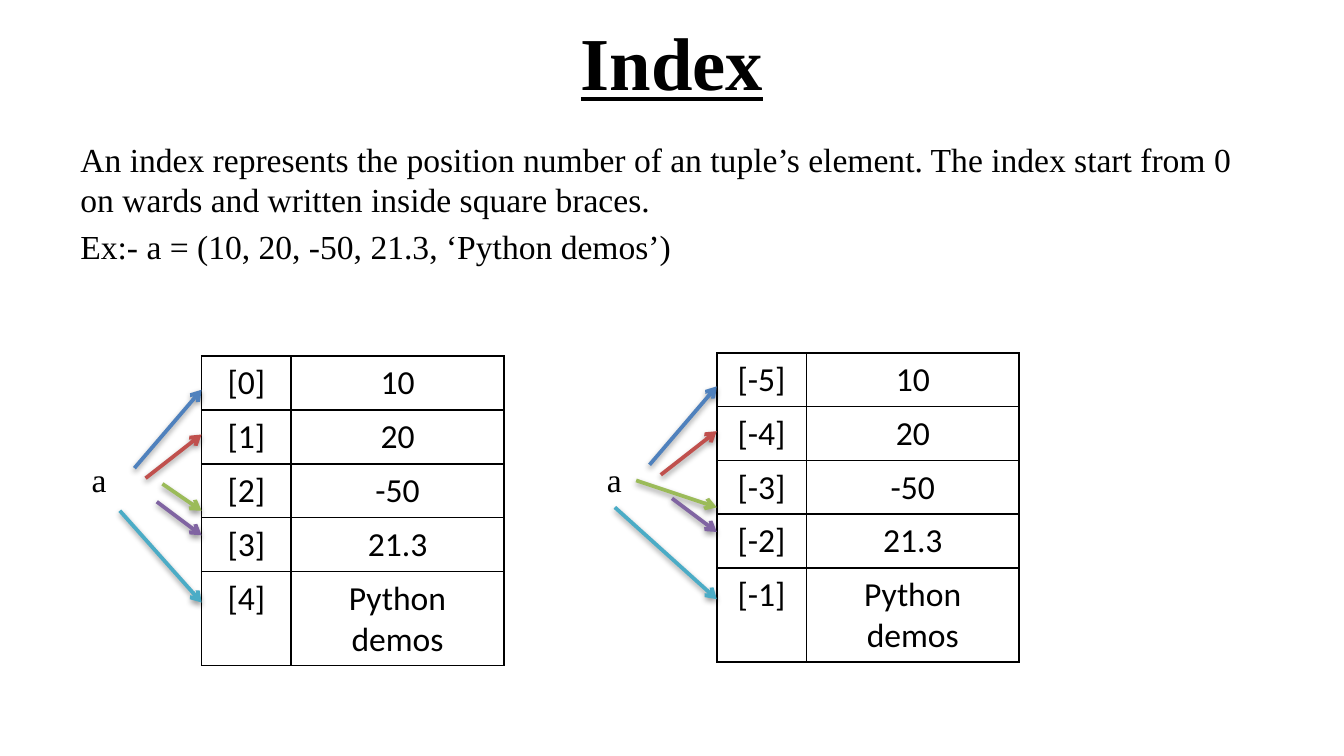
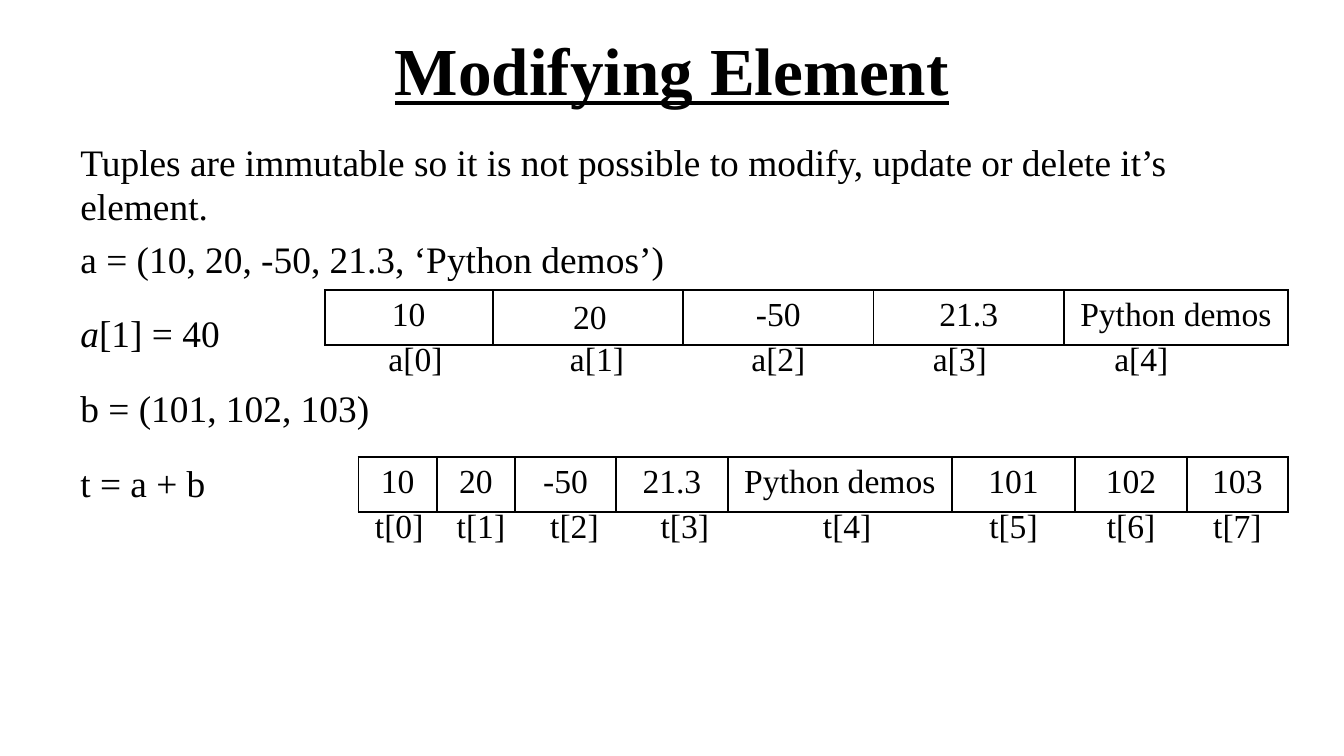
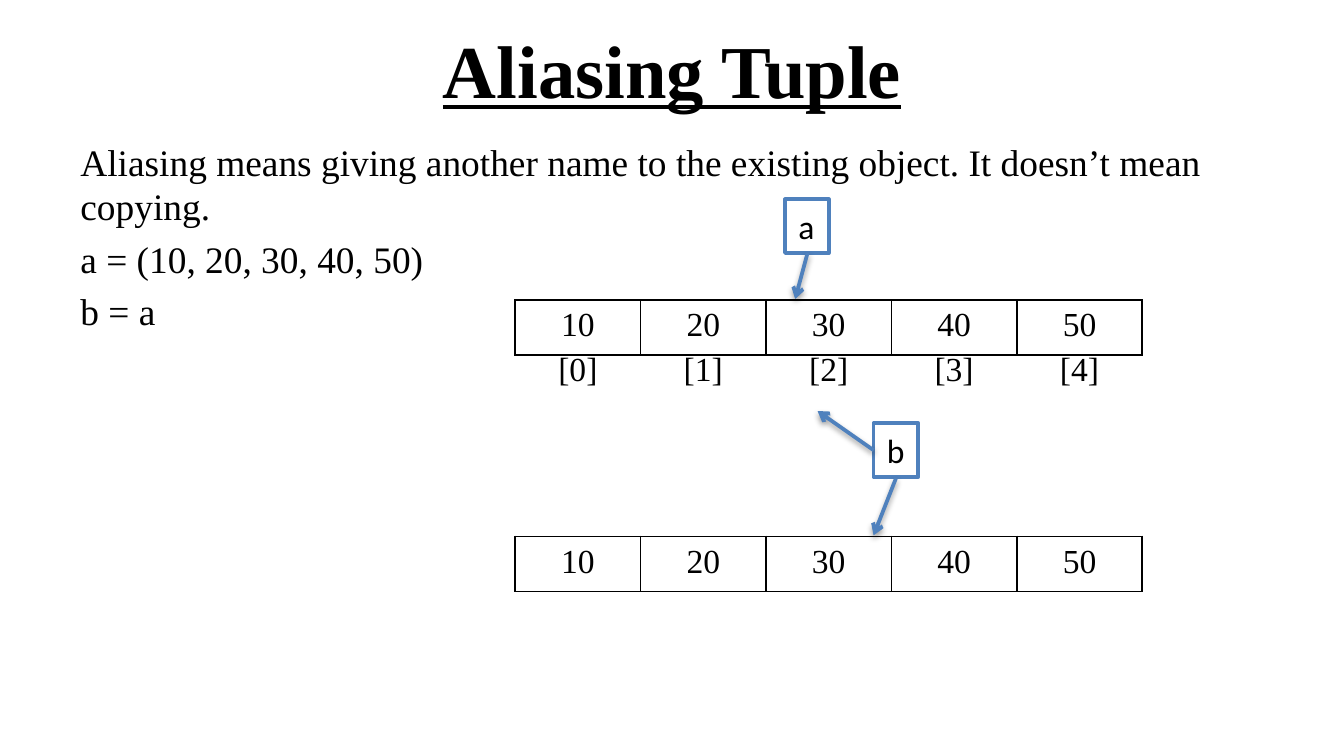
from dataclasses import dataclass

import pptx
import pptx.dml.color
import pptx.enum.shapes
import pptx.enum.text
import pptx.oxml
import pptx.oxml.ns
import pptx.oxml.xmlchemy
import pptx.presentation
import pptx.shapes.autoshape
import pptx.slide
import pptx.table
import pptx.text.text
import pptx.util
from lxml import etree

RGB = pptx.dml.color.RGBColor
BLACK = RGB(0x00, 0x00, 0x00)
WHITE = RGB(0xFF, 0xFF, 0xFF)
BLUE = RGB(0x4F, 0x81, 0xBD)
RED = RGB(0xC0, 0x50, 0x4D)
GREEN = RGB(0x9B, 0xBB, 0x59)
PURPLE = RGB(0x80, 0x64, 0xA2)
TEAL = RGB(0x4B, 0xAC, 0xC6)

SERIF = "Times New Roman"
SANS = "Calibri"
ALIGN = pptx.enum.text.PP_ALIGN

# The slide is a grid of square cells, twelve to the inch.
GRID_COLUMNS, GRID_ROWS = 120, 67.5
MARGIN = 6
CONTENT_WIDTH = GRID_COLUMNS - 2 * MARGIN
BODY_TOP = 11.8
TITLE_HEIGHT = 11.3
ROW_HEIGHT = 4.9
LABEL_DROP = 4  # from the top of a value row to the top of its index row
LINE_WIDTH = pptx.util.Pt(2)


@dataclass(frozen=True)
class Span:
    text: str
    italic: bool = False


@dataclass(frozen=True)
class Paragraph:
    spans: tuple[Span, ...]
    line_spacing: float | None = None


@dataclass(frozen=True)
class Area:
    left: float
    top: float
    width: float
    height: float


@dataclass(frozen=True)
class Grid:
    left: float
    top: float
    columns: tuple[float, ...]
    rows: tuple[tuple[str, ...], ...]
    font: str = SERIF
    row_height: float = ROW_HEIGHT
    ruled: bool = True


@dataclass(frozen=True)
class Arrow:
    start: tuple[float, float]
    end: tuple[float, float]
    color: RGB = BLUE


@dataclass(frozen=True)
class IndexDiagram:
    left: float
    top: float
    first_index: int
    green_reach: float
    teal_reach: float


def cells(count: float) -> pptx.util.Emu:
    return pptx.util.Emu(round(count * pptx.util.Inches(1) / 12))


def frame(area: Area) -> tuple[pptx.util.Emu, ...]:
    return tuple(cells(n) for n in (area.left, area.top, area.width, area.height))


def line(text: str, line_spacing: float | None = None) -> Paragraph:
    return Paragraph((Span(text),), line_spacing)


def add_span(para: pptx.text.text._Paragraph, text: str, size: float,
             font: str = SERIF) -> pptx.text.text.Font:
    span = para.add_run()
    span.text = text
    span.font.size = pptx.util.Pt(size)
    span.font.name = font
    span.font.color.rgb = BLACK
    return span.font


def add_title(page: pptx.slide.Slide, text: str, size: float, top: float) -> None:
    box = page.shapes.add_textbox(*frame(Area(MARGIN, top, CONTENT_WIDTH, TITLE_HEIGHT)))
    box.text_frame.word_wrap = True
    box.text_frame.vertical_anchor = pptx.enum.text.MSO_ANCHOR.MIDDLE
    para = box.text_frame.paragraphs[0]
    para.alignment = ALIGN.CENTER
    font = add_span(para, text, size)
    font.bold = True
    font.underline = True


def add_body(page: pptx.slide.Slide, paragraphs: tuple[Paragraph, ...], size: float,
             height: float, width: float = CONTENT_WIDTH) -> None:
    box = page.shapes.add_textbox(*frame(Area(MARGIN, BODY_TOP, width, height)))
    box.text_frame.word_wrap = True
    for number, paragraph in enumerate(paragraphs):
        para = box.text_frame.paragraphs[0] if number == 0 else box.text_frame.add_paragraph()
        para.space_before = pptx.util.Pt(size / 5)
        para.line_spacing = paragraph.line_spacing
        for span in paragraph.spans:
            add_span(para, span.text, size).italic = span.italic


def fit_to_text(shape: pptx.shapes.autoshape.Shape, text: str, font: str) -> None:
    """Write one unwrapped line into a shape that grows with it."""
    text_frame = shape.text_frame
    text_frame.word_wrap = False
    text_frame.auto_size = pptx.enum.text.MSO_AUTO_SIZE.SHAPE_TO_FIT_TEXT
    text_frame.vertical_anchor = pptx.enum.text.MSO_ANCHOR.TOP
    text_frame.paragraphs[0].alignment = ALIGN.LEFT
    add_span(text_frame.paragraphs[0], text, 18, font)


def add_label(page: pptx.slide.Slide, text: str, area: Area) -> None:
    fit_to_text(page.shapes.add_textbox(*frame(area)), text, SERIF)


def add_name_box(page: pptx.slide.Slide, text: str, area: Area) -> None:
    box = page.shapes.add_shape(pptx.enum.shapes.MSO_SHAPE.RECTANGLE, *frame(area))
    box.shadow.inherit = False
    box.fill.solid()
    box.fill.fore_color.rgb = WHITE
    box.line.color.rgb = BLUE
    box.line.width = LINE_WIDTH
    fit_to_text(box, text, SANS)


def child(parent: pptx.oxml.xmlchemy.BaseOxmlElement, tag: str,
          **attributes: str) -> pptx.oxml.xmlchemy.BaseOxmlElement:
    return etree.SubElement(parent, pptx.oxml.ns.qn(tag), attributes)


def set_borders(cell: pptx.table._Cell, ruled: bool) -> None:
    properties = cell._tc.get_or_add_tcPr()
    for side in ("L", "R", "T", "B"):
        border = child(properties, f"a:ln{side}", w=str(pptx.util.Pt(1)))
        if ruled:
            child(child(border, "a:solidFill"), "a:srgbClr", val=str(BLACK))
        else:
            child(border, "a:noFill")


def add_grid(page: pptx.slide.Slide, grid: Grid) -> None:
    area = Area(grid.left, grid.top, sum(grid.columns), grid.row_height * len(grid.rows))
    table = page.shapes.add_table(len(grid.rows), len(grid.columns), *frame(area)).table
    table.first_row = False
    table.horz_banding = False
    for column, width in zip(table.columns, grid.columns):
        column.width = cells(width)
    for row, texts in zip(table.rows, grid.rows):
        row.height = cells(grid.row_height)
        for cell, text in zip(row.cells, texts):
            set_borders(cell, grid.ruled)
            cell.fill.background()
            para = cell.text_frame.paragraphs[0]
            para.alignment = ALIGN.CENTER
            if text:
                add_span(para, text, 18, grid.font)
            else:
                para.font.size = pptx.util.Pt(18)


def add_arrow(page: pptx.slide.Slide, arrow: Arrow) -> None:
    connector = page.shapes.add_connector(
        pptx.enum.shapes.MSO_CONNECTOR.STRAIGHT,
        *(cells(n) for n in (*arrow.start, *arrow.end)))
    connector.line.color.rgb = arrow.color
    connector.line.width = LINE_WIDTH
    child(connector.line._get_or_add_ln(), "a:tailEnd", type="arrow")
    effects = child(connector._element.spPr, "a:effectLst")
    shadow = child(effects, "a:outerShdw", blurRad="40000", dist="20000",
                   dir="5400000", rotWithShape="0")
    child(child(shadow, "a:srgbClr", val=str(BLACK)), "a:alpha", val="38000")


def add_index_diagram(page: pptx.slide.Slide, diagram: IndexDiagram) -> None:
    """Draw the tuple as a column of indexed values, with an arrow to each."""
    values = ("10", "20", "-50", "21.3", "Python demos")
    rows = tuple((f"[{index}]", value)
                 for index, value in enumerate(values, diagram.first_index))
    add_grid(page, Grid(diagram.left, diagram.top, (8, 19), rows, SANS, 4.8))
    add_label(page, "a", Area(diagram.left - 11, 40.4, 3.7, 4.8))
    for reach, start, end, color in (
        (6, 10, 3, BLUE),
        (5, 10.9, 7, RED),
        (diagram.green_reach, 11.4, 13.8, GREEN),
        (4, 13, 16, PURPLE),
        (diagram.teal_reach, 13.8, 22, TEAL),
    ):
        add_arrow(page, Arrow((diagram.left - reach, diagram.top + start),
                              (diagram.left, diagram.top + end), color))


def indexes(name: str, count: int) -> tuple[tuple[str, ...], ...]:
    return (tuple(f"{name}[{index}]" for index in range(count)),)


def build_index(page: pptx.slide.Slide) -> None:
    add_title(page, "Index", 40, -0.2)
    add_body(page, (
        line("An index represents the position number of an tuple’s element. "
             "The index start from 0 on wards and written inside square braces."),
        line("Ex:- a = (10, 20, -50, 21.3, ‘Python demos’)"),
    ), 18, 18)
    add_index_diagram(page, IndexDiagram(18, 31.8, 0, 3.5, 7.3))
    add_index_diagram(page, IndexDiagram(64, 31.5, -5, 7.2, 9.1))


def build_modifying(page: pptx.slide.Slide) -> None:
    add_title(page, "Modifying Element", 36, 0.5)
    add_body(page, (
        line("Tuples are immutable so it is not possible to modify, "
             "update or delete it’s element."),
        line("a = (10, 20, -50, 21.3, ‘Python demos’)"),
        Paragraph((Span("a", italic=True), Span("[1] = 40")), 1.5),
        line("b = (101, 102, 103)", 1.5),
        line("t = a + b", 1.5),
    ), 20, 51, CONTENT_WIDTH + 1)

    a_left, a_top = 29, 25.9
    add_grid(page, Grid(a_left, a_top, (15, 17, 17, 17, 20),
                        (("10", "", "-50", "21.3", "Python demos"),)))
    add_grid(page, Grid(a_left, a_top + LABEL_DROP, (16.2,) * 5, indexes("a", 5), ruled=False))
    add_label(page, "20", Area(50, 25.8, 5.4, 4.8))

    t_left, t_top = 32, 40.8
    add_grid(page, Grid(t_left, t_top, (7, 7, 9, 10, 20, 11, 10, 9),
                        (("10", "20", "-50", "21.3", "Python demos", "101", "102", "103"),)))
    add_grid(page, Grid(t_left, t_top + LABEL_DROP, (7.3, 7.3, 9.4, 10.3, 18.7, 11, 10, 9),
                        indexes("t", 8), ruled=False))


def build_aliasing(page: pptx.slide.Slide) -> None:
    add_title(page, "Aliasing Tuple", 40, 0.5)
    add_body(page, (
        line("Aliasing means giving another name to the existing object. "
             "It doesn’t mean copying."),
        line("a = (10, 20, 30, 40, 50)"),
        line("b = a"),
    ), 20, 47)
    add_name_box(page, "a", Area(70.1, 17.8, 3.9, 4.8))
    add_arrow(page, Arrow((72.1, 22.6), (71, 26.7)))
    add_name_box(page, "b", Area(78, 37.8, 4, 4.8))
    add_arrow(page, Arrow((80, 42.7), (78, 47.8)))
    add_arrow(page, Arrow((78, 40.2), (73, 36.7)))

    left, top, columns = 46, 26.8, (11.2,) * 5
    values = (tuple(str(value) for value in range(10, 60, 10)),)
    add_grid(page, Grid(left, top, columns, values))
    add_grid(page, Grid(left, top + LABEL_DROP, columns, indexes("", 5), ruled=False))
    add_grid(page, Grid(left, 47.9, columns, values))


def main() -> None:
    deck = pptx.Presentation()
    deck.slide_width = cells(GRID_COLUMNS)
    deck.slide_height = cells(GRID_ROWS)
    blank = deck.slide_layouts[6]
    for build in (build_index, build_modifying, build_aliasing):
        build(deck.slides.add_slide(blank))
    deck.save("out.pptx")


if __name__ == "__main__":
    main()
